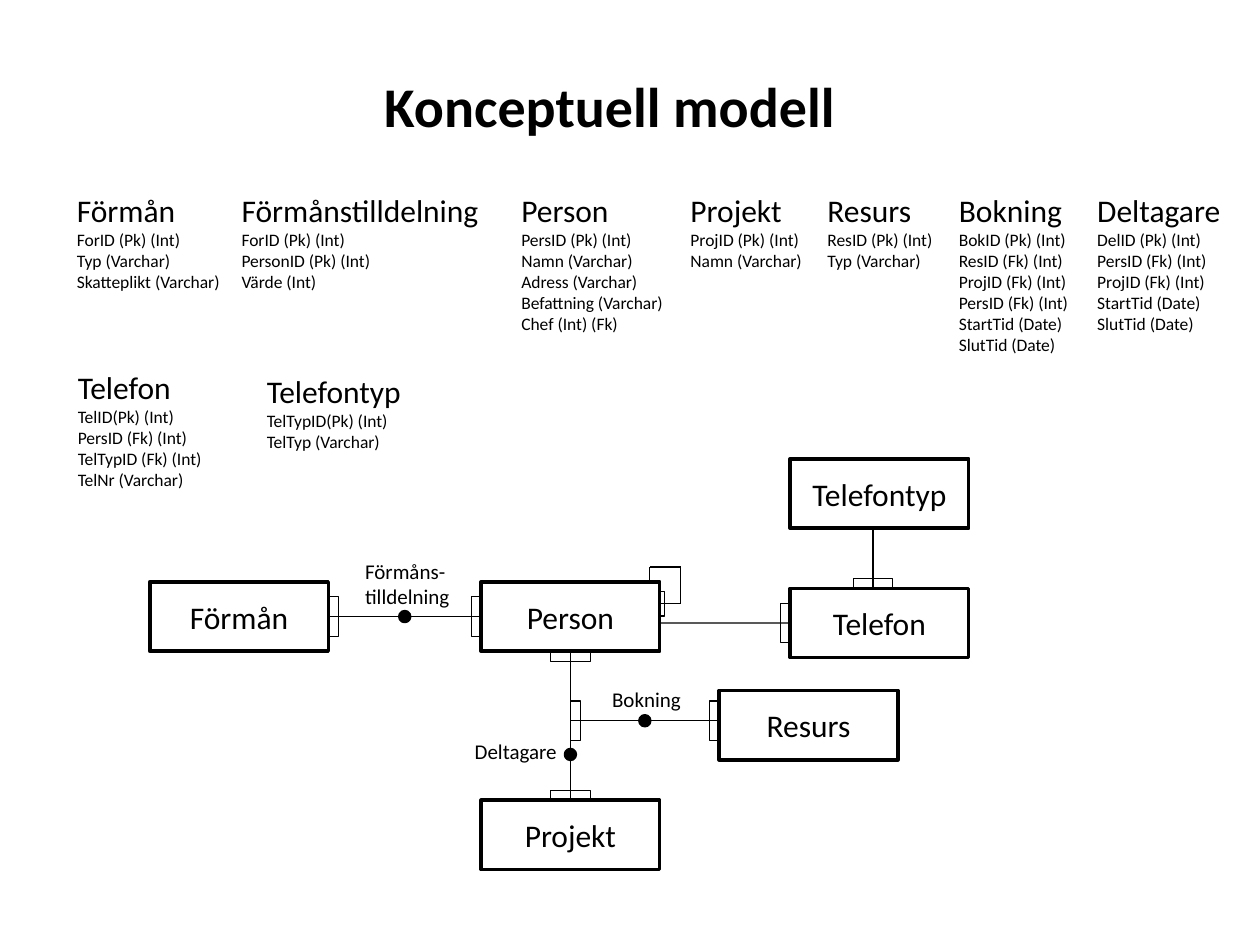
from dataclasses import dataclass

from lxml import etree
from pptx import Presentation
from pptx.dml.color import RGBColor
from pptx.enum.shapes import MSO_CONNECTOR, MSO_SHAPE
from pptx.enum.text import MSO_ANCHOR, MSO_AUTO_SIZE, PP_ALIGN
from pptx.oxml.ns import qn
from pptx.util import Cm, Pt

RECT, OVAL = MSO_SHAPE.RECTANGLE, MSO_SHAPE.OVAL
STRAIGHT = MSO_CONNECTOR.STRAIGHT
TOP, MIDDLE = MSO_ANCHOR.TOP, MSO_ANCHOR.MIDDLE
LEFT, CENTER = PP_ALIGN.LEFT, PP_ALIGN.CENTER
FIT, FIXED = MSO_AUTO_SIZE.SHAPE_TO_FIT_TEXT, MSO_AUTO_SIZE.NONE
# Connection sites of a rectangle
AT_TOP, AT_LEFT, AT_BOTTOM, AT_RIGHT = range(4)


@dataclass(frozen=True)
class Theme:
    font: str = "Calibri"
    ink: RGBColor = RGBColor(0, 0, 0)
    paper: RGBColor = RGBColor(255, 255, 255)
    title: int = 32
    head: int = 18
    label: int = 12
    field: int = 10
    thick: float = 2
    thin: float = 0.75


class Board:
    """Holds the theme and the slide being drawn."""

    def __init__(self, slide, theme):
        self.slide, self.theme = slide, theme

    def style(self, par, size, align=LEFT, bold=False):
        par.alignment = align
        for run in par.runs:
            font = run.font
            font.name, font.size, font.bold = self.theme.font, Pt(size), bold
            font.color.rgb = self.theme.ink

    def title(self, text, x, y, w, h):
        shape = self.slide.shapes.title
        shape.left, shape.top, shape.width, shape.height = map(Cm, (x, y, w, h))
        frame = shape.text_frame
        frame.text = text
        frame.vertical_anchor, frame.auto_size = TOP, FIXED
        self.style(frame.paragraphs[0], self.theme.title, bold=True)

    def text(self, lines, x, y, w, h, sizes):
        """Text box; the last size applies to all remaining lines."""
        box = self.slide.shapes.add_textbox(*map(Cm, (x, y, w, h)))
        frame = box.text_frame
        frame.text = "\n".join(lines)
        frame.word_wrap, frame.auto_size = False, FIT
        for i, par in enumerate(frame.paragraphs):
            self.style(par, sizes[min(i, len(sizes) - 1)])

    def shape(self, kind, x, y, w, h, fill, line):
        shape = self.slide.shapes.add_shape(kind, *map(Cm, (x, y, w, h)))
        shape.shadow.inherit = False
        if fill is None:
            shape.fill.background()
        else:
            shape.fill.solid()
            shape.fill.fore_color.rgb = fill
        shape.line.color.rgb = self.theme.ink
        shape.line.width = Pt(line)
        return shape

    def entity(self, name, x, y):
        box = self.shape(RECT, x, y, BOX_W, BOX_H, self.theme.paper, self.theme.thick)
        frame = box.text_frame
        frame.text = name
        frame.vertical_anchor = MIDDLE
        self.style(frame.paragraphs[0], self.theme.head, CENTER)
        return box

    def line(self, x1, y1, x2, y2, start=None, end=None):
        """Line; start and end are optional (box, site) pairs."""
        wire = self.slide.shapes.add_connector(STRAIGHT, *map(Cm, (x1, y1, x2, y2)))
        wire.line.color.rgb = self.theme.ink
        wire.line.width = Pt(self.theme.thin)
        etree.SubElement(wire.element.spPr, qn("a:effectLst"))
        if start:
            wire.begin_connect(*start)
        if end:
            wire.end_connect(*end)

    def many(self, x, y, side, deep=0.2, span=0.8):
        """Mark for 'many' that grows from a point towards a side."""
        left, top, w, h = {
            AT_TOP: (x - span / 2, y - deep, span, deep),
            AT_BOTTOM: (x - span / 2, y, span, deep),
            AT_LEFT: (x - deep, y - span / 2, deep, span),
            AT_RIGHT: (x, y - span / 2, deep, span),
        }[side]
        self.shape(RECT, left, top, w, h, None, self.theme.thin)

    def dot(self, x, y, size=0.2):
        self.shape(OVAL, x - size / 2, y - size / 2, size, size,
                   self.theme.ink, self.theme.thick)


BOX_W, BOX_H = 3.6, 1.4
ROW = 3.73  # top of the first row of lists

# Left, top, width, name, fields
LISTS = [
    (1.3, ROW, 3.48, "Förmån",
     ["ForID (Pk) (Int)", "Typ (Varchar)", "Skatteplikt (Varchar)"]),
    (4.62, ROW, 5.33, "Förmånstilldelning",
     ["ForID (Pk) (Int)", "PersonID (Pk) (Int)", "Värde (Int)"]),
    (10.26, ROW, 3.45, "Person",
     ["PersID (Pk) (Int)", "Namn (Varchar)", "Adress (Varchar)",
      "Befattning (Varchar)", "Chef (Int) (Fk)"]),
    (13.67, ROW, 2.79, "Projekt", ["ProjID (Pk) (Int)", "Namn (Varchar)"]),
    (16.43, ROW, 2.67, "Resurs", ["ResID (Pk) (Int)", "Typ (Varchar)"]),
    (19.08, ROW, 2.74, "Bokning",
     ["BokID (Pk) (Int)", "ResID (Fk) (Int)", "ProjID (Fk) (Int)",
      "PersID (Fk) (Int)", "StartTid (Date)", "SlutTid (Date)"]),
    (21.87, ROW, 3.02, "Deltagare",
     ["DelID (Pk) (Int)", "PersID (Fk) (Int)", "ProjID (Fk) (Int)",
      "StartTid (Date)", "SlutTid (Date)"]),
    (1.32, 7.29, 3.07, "Telefon",
     ["TelID(Pk) (Int)", "PersID (Fk) (Int)", "TelTypID (Fk) (Int)",
      "TelNr (Varchar)"]),
    (5.13, 7.37, 3.25, "Telefontyp", ["TelTypID(Pk) (Int)", "TelTyp (Varchar)"]),
]

# Left and top of each entity
ENTITIES = {
    "Förmån": (3.02, 11.73), "Person": (9.7, 11.73), "Resurs": (14.5, 13.92),
    "Projekt": (9.7, 16.13), "Telefon": (15.93, 11.86), "Telefontyp": (15.93, 9.25),
}

# Lines, left, top, width, height
LABELS = [
    (["Bokning"], 12.09, 13.72, 1.91, 0.76),
    (["Deltagare"], 9.32, 14.76, 2.18, 0.76),
    (["Förmåns-", "tilldelning"], 7.11, 11.13, 2.24, 1.27),
]

# Marks for 'many': x, y, side
MARKS = [
    (6.62, 12.43, AT_RIGHT), (9.7, 12.43, AT_LEFT),
    (11.5, 13.13, AT_BOTTOM), (11.5, 16.13, AT_TOP),
    (11.5, 14.53, AT_RIGHT), (14.5, 14.53, AT_LEFT),
    (15.93, 12.56, AT_LEFT), (17.6, 11.86, AT_TOP),
]
DOTS = [(8.16, 12.43), (13, 14.53), (11.5, 15.21)]
LOOP = [(13.1, 11.73), (13.1, 11.43), (13.72, 11.43), (13.72, 12.17), (13.3, 12.17)]


def main():
    deck = Presentation()
    deck.slide_width, deck.slide_height = Cm(25.4), Cm(19.05)
    theme = Theme()
    board = Board(deck.slides.add_slide(deck.slide_layouts[5]), theme)
    board.title("Konceptuell modell", 7.49, 1.32, 10.8, 1.63)

    # Field lists
    for x, y, w, name, fields in LISTS:
        board.text([name, *fields], x, y, w, 1.02 + 0.43 * len(fields),
                   (theme.head, theme.field))

    # Entities
    box = {name: board.entity(name, *spot) for name, spot in ENTITIES.items()}

    # Relations
    board.line(6.62, 12.43, 9.7, 12.43,
               (box["Förmån"], AT_RIGHT), (box["Person"], AT_LEFT))
    board.line(11.5, 13.13, 11.5, 16.13,
               (box["Person"], AT_BOTTOM), (box["Projekt"], AT_TOP))
    board.line(13.3, 12.56, 15.93, 12.56, end=(box["Telefon"], AT_LEFT))
    board.line(11.5, 14.53, 14.5, 14.53)
    board.line(17.6, 10.65, 17.6, 11.86)
    for mark in MARKS:
        board.many(*mark)
    for spot in DOTS:
        board.dot(*spot)

    # Person's relation to itself
    for start, end in zip(LOOP, LOOP[1:]):
        board.line(*start, *end)
    board.many(*LOOP[-1], AT_RIGHT, 0.1, 0.5)

    # Relation names
    for lines, *area in LABELS:
        board.text(lines, *area, (theme.label,))

    deck.save("out.pptx")


if __name__ == "__main__":
    main()
